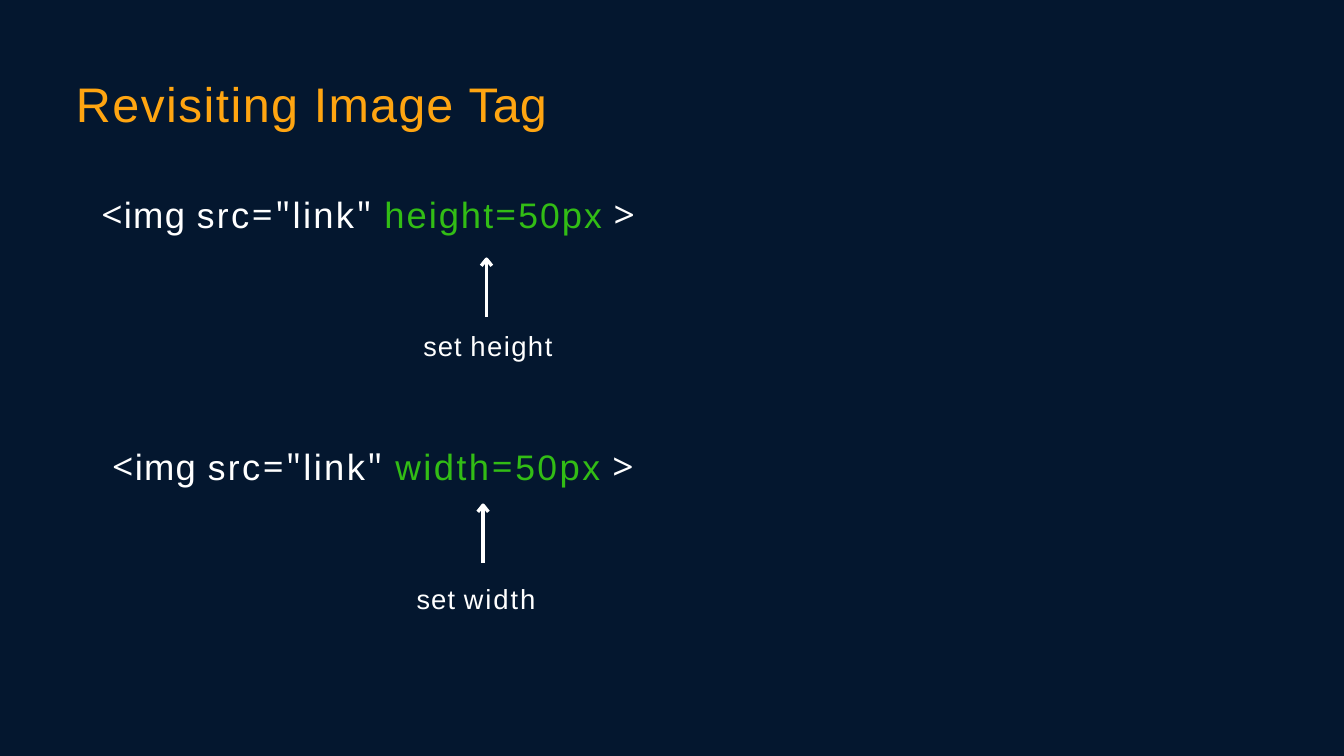
"""Build a slide on the height and width attributes of the HTML image tag."""
from lxml.etree import SubElement
from pptx import Presentation
from pptx.dml.color import RGBColor
from pptx.enum.shapes import MSO_CONNECTOR, MSO_SHAPE
from pptx.enum.text import MSO_ANCHOR, MSO_AUTO_SIZE, PP_ALIGN
from pptx.oxml.ns import qn
from pptx.util import Cm, Pt

COLORS = {"navy": "04172F", "orange": "FFA511", "white": "FFFFFF", "green": "32BD15"}
SANS, SYMBOL = "Arial", "Open Sans"


def write_line(shape, runs):
    frame = shape.text_frame
    frame.auto_size = MSO_AUTO_SIZE.NONE
    frame.word_wrap = True
    frame.vertical_anchor = MSO_ANCHOR.TOP
    frame.margin_left = frame.margin_top = frame.margin_right = frame.margin_bottom = 0
    line = frame.paragraphs[0]
    line.alignment = PP_ALIGN.LEFT
    for words, size, font, color, spacing in runs:
        run = line.add_run()
        run.text = words
        run.font.size = Pt(size)
        run.font.name = font
        run.font.color.rgb = RGBColor.from_string(COLORS[color])
        run.font._element.set("spc", str(round(spacing * 100)))


def draw_line(shape):
    shape.line.width = Pt(3.75)
    shape.line.color.rgb = RGBColor.from_string(COLORS["white"])


prs = Presentation()
prs.slide_width, prs.slide_height = Cm(50.8), Cm(28.58)
slide = prs.slides.add_slide(prs.slide_layouts[5])
title = slide.shapes.title

backdrop = slide.shapes.add_shape(MSO_SHAPE.RECTANGLE, 0, 0, prs.slide_width, prs.slide_height)
backdrop.shadow.inherit = False
backdrop.fill.solid()
backdrop.fill.fore_color.rgb = RGBColor.from_string(COLORS["navy"])
backdrop.line.fill.background()
title._element.addprevious(backdrop._element)

title.left, title.top, title.width, title.height = Cm(2.87), Cm(2.78), Cm(18), Cm(2.2)
title_runs = [("Re", 52, 1.6), ("v", 51, 1.6), ("i", 52, 1.6), ("s", 51, 1.6), ("i", 52, 1.6),
              ("t", 51, 1.6), ("ing", 52, 1.6), (" ", 52, 0.7), ("Image", 52, 1.3),
              (" ", 52, 0.3), ("Tag", 52, 0.1)]
write_line(title, [(words, size, SANS, "orange", spacing) for words, size, spacing in title_runs])

height_name = [("heigh", 39), ("t", 38)]
width_name = [("w", 38), ("id", 39), ("t", 38), ("h", 39)]
height_label = [("heigh", 29.5), ("t", 29)]
width_label = [("w", 29), ("id", 29.5), ("t", 29), ("h", 29.5)]

examples = [
    (height_name, 2.1, 3.83, 7.21, 18.39, 9.8, height_label, 1.5, 16, 12.42),
    (width_name, 2.6, 4.24, 16.77, 18.26, 19.1, width_label, 2.1, 15.75, 22.02),
]
for name, spacing, tag_x, tag_y, arrow_x, arrow_y, label, label_spacing, label_x, label_y in examples:
    tag = slide.shapes.add_textbox(Cm(tag_x), Cm(tag_y), Cm(20.5), Cm(1.75))
    write_line(tag, [
        ("<", 40, SYMBOL, "white", 1.4),
        ("img", 39, SANS, "white", 1.4),
        (" ", 39, SANS, "white", 0.4),
        ("sr", 38, SANS, "white", 2.5),
        ("c", 39, SANS, "white", 2.5),
        ('="', 40, SYMBOL, "white", 2.5),
        ("link", 39, SANS, "white", 2.5),
        ('"', 40, SYMBOL, "white", 2.5),
        (" ", 40, SYMBOL, "white", 1),
        *[(words, size, SANS, "green", spacing) for words, size in name],
        ("=", 40, SYMBOL, "green", spacing),
        ("50", 38, SANS, "green", spacing),
        ("p", 39, SANS, "green", spacing),
        ("x", 38, SANS, "green", spacing),
        (" ", 38, SANS, "green", spacing - 2.6),
        (">", 40, SYMBOL, "white", 0.1),
    ])

    shaft = slide.shapes.add_connector(
        MSO_CONNECTOR.STRAIGHT, Cm(arrow_x), Cm(arrow_y + 2.19), Cm(arrow_x), Cm(arrow_y + 0.03))
    draw_line(shaft)
    SubElement(shaft._element.spPr, qn("a:effectLst"))

    outline = slide.shapes.build_freeform(Cm(arrow_x - 0.2), Cm(arrow_y + 0.25))
    outline.add_line_segments(
        [(Cm(arrow_x), Cm(arrow_y)), (Cm(arrow_x + 0.2), Cm(arrow_y + 0.25))], close=False)
    tip = outline.convert_to_shape()
    tip.shadow.inherit = False
    tip.fill.background()
    draw_line(tip)

    caption = slide.shapes.add_textbox(Cm(label_x), Cm(label_y), Cm(5.5), Cm(1.3))
    write_line(caption, [
        ("s", 29, SANS, "white", 1.1),
        ("e", 29.5, SANS, "white", 1.1),
        ("t", 29, SANS, "white", 1.1),
        (" ", 29, SANS, "white", 0.1),
        *[(words, size, SANS, "white", label_spacing) for words, size in label],
    ])

prs.save("out.pptx")
